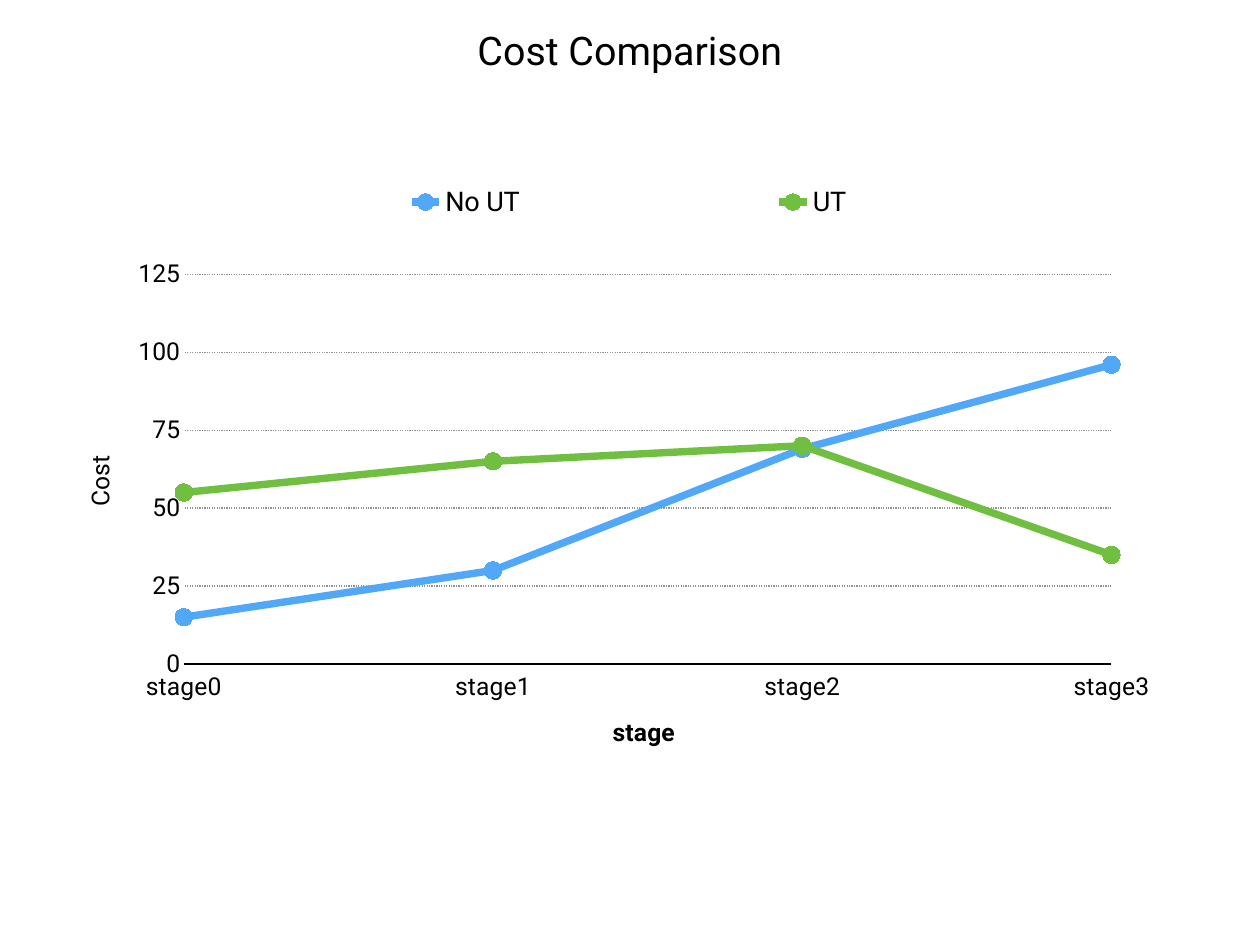
from lxml import etree
from pptx import Presentation
from pptx.chart.data import CategoryChartData
from pptx.dml.color import RGBColor
from pptx.enum.chart import (XL_CHART_TYPE, XL_LEGEND_POSITION, XL_MARKER_STYLE,
                             XL_TICK_LABEL_POSITION, XL_TICK_MARK)
from pptx.enum.dml import MSO_LINE
from pptx.enum.text import MSO_ANCHOR, PP_ALIGN
from pptx.oxml.ns import qn
from pptx.util import Cm, Pt

LINE_MARKERS = XL_CHART_TYPE.LINE_MARKERS
LEGEND_TOP = XL_LEGEND_POSITION.TOP
CIRCLE = XL_MARKER_STYLE.CIRCLE
LABELS_LOW = XL_TICK_LABEL_POSITION.LOW
NO_TICK = XL_TICK_MARK.NONE
DOTTED = MSO_LINE.ROUND_DOT
TOP = MSO_ANCHOR.TOP
CENTER = PP_ALIGN.CENTER

COLORS = {"text": "000000", "grid": "929292", "No UT": "51A8F9", "UT": "70BF41"}
STAGES = ["stage0", "stage1", "stage2", "stage3"]
COSTS = {"No UT": [15, 30, 69, 96], "UT": [55, 65, 70, 35]}


class SlideBuilder:
    """Draws styled elements on the current slide."""

    def __init__(self, slide, font_name):
        self.slide = slide
        self.font_name = font_name

    def color(self, name):
        return RGBColor.from_string(COLORS[name])

    def style(self, font, size, bold=False):
        font.name = self.font_name
        font.size = Pt(size)
        font.bold = bold
        font.color.rgb = self.color("text")

    def stroke(self, line, name, width):
        line.color.rgb = self.color(name)
        line.width = Pt(width)

    def title(self, text, left, top, width, height):
        sp = self.slide.shapes.title
        sp.left, sp.top, sp.width, sp.height = left, top, width, height
        tf = sp.text_frame
        tf.text = text
        tf.vertical_anchor = TOP
        tf.margin_top = 0
        p = tf.paragraphs[0]
        p.alignment = CENTER
        self.style(p.font, 32)

    def place(self, before, target, x, y, w, h):
        layout = etree.Element(qn("c:layout"))
        manual = etree.SubElement(layout, qn("c:manualLayout"))
        settings = {"layoutTarget": target, "xMode": "edge", "yMode": "edge",
                    "x": x, "y": y, "w": w, "h": h}
        for tag, value in settings.items():
            if value is not None:
                etree.SubElement(manual, qn(f"c:{tag}")).set("val", str(value))
        parent = before.getparent()
        for old in parent.findall(qn("c:layout")):
            parent.remove(old)
        before.addprevious(layout)

    def axis(self, axis, text, bold=False):
        axis.major_tick_mark = axis.minor_tick_mark = NO_TICK
        self.style(axis.tick_labels.font, 20)
        tf = axis.axis_title.text_frame
        tf.text = text
        self.style(tf.paragraphs[0].font, 20, bold)

    def line_chart(self, categories, values, left, top, width, height):
        data = CategoryChartData()
        data.categories = categories
        for name, numbers in values.items():
            data.add_series(name, numbers)
        chart = self.slide.shapes.add_chart(
            LINE_MARKERS, left, top, width, height, data).chart
        chart.has_title = False
        self.style(chart.font, 10)

        plot = chart.plots[0]
        plot.vary_by_categories = False
        for series in plot.series:
            series.smooth = False
            self.stroke(series.format.line, series.name, 6)
            marker = series.marker
            marker.style, marker.size = CIRCLE, 14
            marker.format.fill.solid()
            marker.format.fill.fore_color.rgb = self.color(series.name)
            marker.format.line.fill.background()
        area = chart.element.find(".//" + qn("c:plotArea"))
        self.place(area.find(qn("c:lineChart")), "inner", 0.098, 0.164, 0.866, 0.677)

        stages = chart.category_axis
        self.axis(stages, "stage", bold=True)
        stages.tick_label_position = LABELS_LOW
        self.stroke(stages.format.line, "text", 1)

        costs = chart.value_axis
        self.axis(costs, "Cost")
        costs.minimum_scale, costs.maximum_scale, costs.major_unit = 0, 125, 25
        costs.format.line.fill.background()
        grid = costs.major_gridlines.format.line
        self.stroke(grid, "grid", 1)
        grid.dash_style = DOTTED
        value_axis = area.find(qn("c:valAx"))
        body = value_axis.find(qn("c:title")).find(".//" + qn("a:bodyPr"))
        body.set("rot", "-5400000")
        body.set("vert", "horz")
        for old in value_axis.findall(qn("c:crossBetween")):
            value_axis.remove(old)
        between = etree.Element(qn("c:crossBetween"))
        between.set("val", "midCat")
        value_axis.find(qn("c:majorUnit")).addprevious(between)

        chart.has_legend = True
        legend = chart.legend
        legend.position = LEGEND_TOP
        legend.include_in_layout = True
        self.style(legend.font, 22)
        overlay = chart.element.find(".//" + qn("c:legend")).find(qn("c:overlay"))
        self.place(overlay, None, 0.077, 0, 0.873, 0.077)


def main():
    prs = Presentation()
    prs.slide_width, prs.slide_height = Cm(36.12), Cm(27.1)
    s = prs.slides.add_slide(prs.slide_layouts[5])
    builder = SlideBuilder(s, "Roboto")
    builder.line_chart(STAGES, COSTS, Cm(2.26), Cm(5.16), Cm(30.71), Cm(16.51))
    builder.title("Cost Comparison", Cm(2.64), Cm(0.76), Cm(30.84), Cm(2.62))
    prs.save("out.pptx")


if __name__ == "__main__":
    main()
